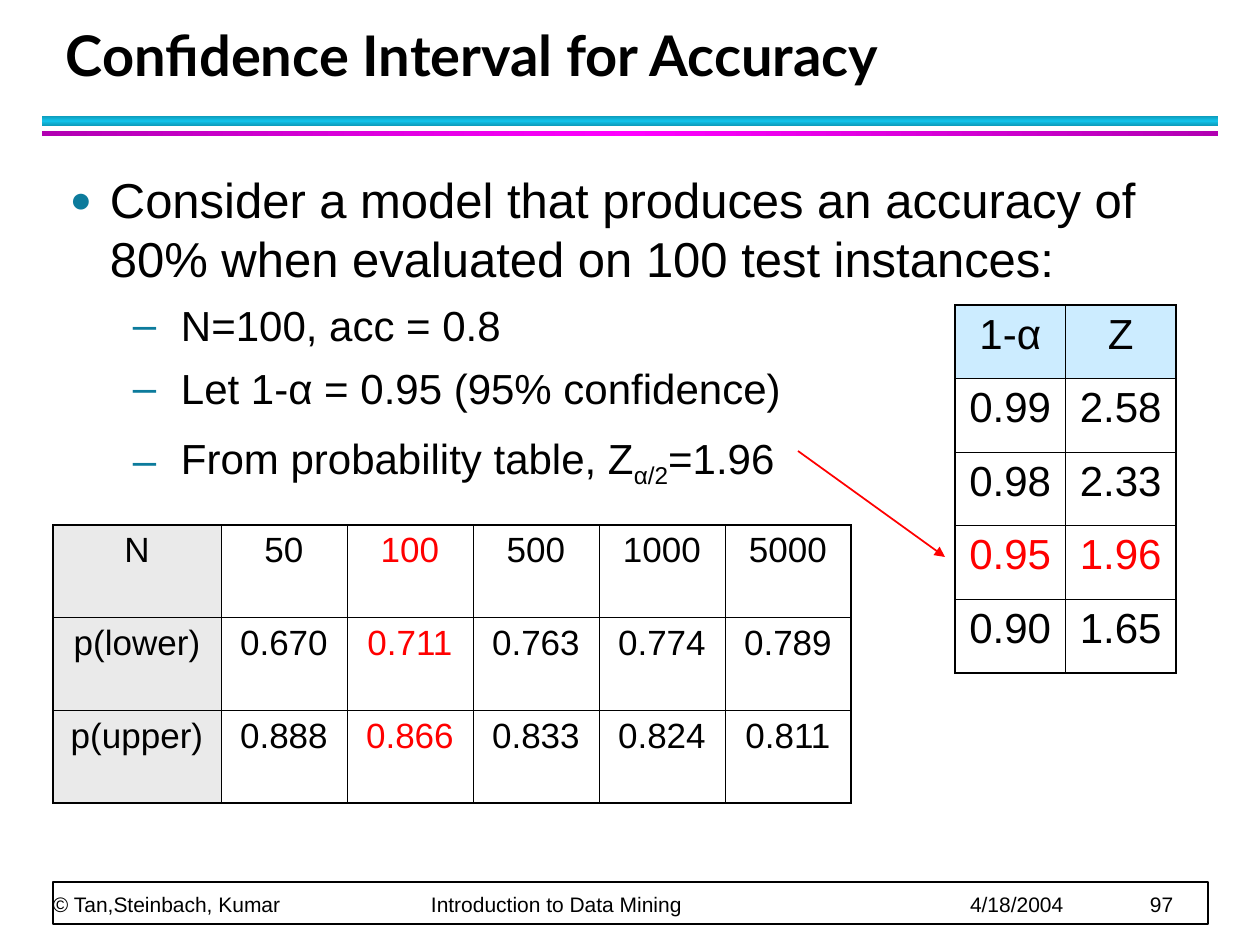
import lxml.etree
import pptx
import pptx.dml.color
import pptx.enum.shapes
import pptx.enum.text
import pptx.oxml
import pptx.oxml.ns
import pptx.util

SCALE = 914400 / 126
BLACK, RED, TEAL = "000000", "FF0000", "0C7B9C"
LEFT = pptx.enum.text.PP_ALIGN.LEFT
CENTER = pptx.enum.text.PP_ALIGN.CENTER
RECT = pptx.enum.shapes.MSO_SHAPE.RECTANGLE
STRAIGHT = pptx.enum.shapes.MSO_CONNECTOR.STRAIGHT
BOTTOM = pptx.enum.text.MSO_ANCHOR.BOTTOM
qn = pptx.oxml.ns.qn


def px(n):
    return round(n * SCALE)


def rgb(value):
    return pptx.dml.color.RGBColor.from_string(value)


def sub(parent, tag, **attrs):
    return lxml.etree.SubElement(parent, qn(tag), attrs)


def style(font, size, color=BLACK, name="Arial", bold=False):
    font.size = pptx.util.Pt(size)
    font.name = name
    font.bold = bold
    font.color.rgb = rgb(color)


def set_frame(tf, margin_x=0, margin_y=0):
    tf.word_wrap = True
    tf.margin_left = tf.margin_right = px(margin_x)
    tf.margin_top = tf.margin_bottom = px(margin_y)


def add_bar(s, x, y, w, h, edge, middle, angle):
    sp = s.shapes.add_shape(RECT, px(x), px(y), px(w), px(h))
    sp.shadow.inherit = False
    sp.line.fill.background()
    sp.fill.gradient()
    sp.fill.gradient_angle = angle
    stops = sp._element.spPr.find(qn("a:gradFill")).find(qn("a:gsLst"))
    stops.clear()
    for pos, color in ((0, edge), (50000, middle), (100000, edge)):
        sub(sub(stops, "a:gs", pos=str(pos)), "a:srgbClr", val=color)


def add_header(s, x, y, w, h):
    add_bar(s, x, y + 116, w, 10, "0E9BBA", "12C2E9", 90)
    add_bar(s, x, y + 131, w, 5, "B200B2", "FF00FF", 0)
    sp = s.shapes.title
    sp.left, sp.top, sp.width, sp.height = px(x + 11), px(y + 21), px(w - 34), px(h)
    tf = sp.text_frame
    set_frame(tf, 13, 6)
    tf.auto_size = pptx.enum.text.MSO_AUTO_SIZE.NONE
    tf.vertical_anchor = BOTTOM
    tf.text = "Confidence Interval for Accuracy"
    p = tf.paragraphs[0]
    p.alignment = LEFT
    p.line_spacing = pptx.util.Pt(36)
    style(p.runs[0].font, 32, name="Lato", bold=True)


def add_bullet(p, char, margin, hang, percent):
    pPr = p._p.get_or_add_pPr()
    pPr.set("marL", str(px(margin)))
    pPr.set("indent", str(-px(hang)))
    sub(sub(pPr, "a:buClr"), "a:srgbClr", val=TEAL)
    sub(pPr, "a:buSzPct", val=str(percent * 1000))
    sub(pPr, "a:buFont", typeface="Arial")
    sub(pPr, "a:buChar", char=char)


def add_body(s, x, y, w, h):
    tf = s.shapes.add_textbox(px(x), px(y), px(w), px(h)).text_frame
    set_frame(tf, 13, 6)
    items = [
        (0, 0, ["Consider a model that produces an accuracy of 80% "
                "when evaluated on 100 test instances:"]),
        (1, 3, ["N=100, acc = 0.8"]),
        (1, 3, ["Let 1-α = 0.95 (95% confidence)"]),
        (1, 7, ["From probability table, Z", "α/2", "=1.96"]),
    ]
    for i, (level, before, parts) in enumerate(items):
        p = tf.add_paragraph() if i else tf.paragraphs[0]
        p.level = level
        p.space_before = pptx.util.Pt(before)
        p.space_after = pptx.util.Pt(4)
        if level:
            add_bullet(p, "–", 111, 48, 100)
        else:
            add_bullet(p, "●", 40, 40, 75)
        for j, part in enumerate(parts):
            r = p.add_run()
            r.text = part
            style(r.font, 24 if level else 28)
            if j == 1:
                r._r.get_or_add_rPr().set("baseline", "-25000")


def set_borders(cell, widths):
    tcPr = cell._tc.get_or_add_tcPr()
    for side, width in zip("LRTB", widths):
        ln = sub(tcPr, "a:ln" + side, w=str(round(width * 12700)))
        sub(sub(ln, "a:solidFill"), "a:srgbClr", val=BLACK)


def add_grid(s, box, rows, size, fill, is_header, is_red, first_width=None):
    x, y, w, h = map(px, box)
    n_rows, n_cols = len(rows), len(rows[0])
    table = s.shapes.add_table(n_rows, n_cols, x, y, w, h).table
    table.first_row = table.horz_banding = False
    if first_width:
        table.columns[0].width = px(first_width)
        for j in range(1, n_cols):
            table.columns[j].width = (w - px(first_width)) // (n_cols - 1)
    for i, row in enumerate(rows):
        for j, text in enumerate(row):
            cell = table.cell(i, j)
            outer = (j == 0, j == n_cols - 1, i == 0, i == n_rows - 1)
            set_borders(cell, [1.08 if edge else 0.45 for edge in outer])
            if is_header(i, j):
                cell.fill.solid()
                cell.fill.fore_color.rgb = rgb(fill)
            else:
                cell.fill.background()
            cell.text_frame.text = text
            p = cell.text_frame.paragraphs[0]
            p.alignment = CENTER
            style(p.runs[0].font, size, RED if is_red(i, j) else BLACK)


def add_arrow(s, x1, y1, x2, y2):
    line = s.shapes.add_connector(STRAIGHT, px(x1), px(y1), px(x2), px(y2))
    line.line.color.rgb = rgb(RED)
    line.line.width = pptx.util.Pt(1)
    sub(line.line._get_or_add_ln(), "a:tailEnd", type="triangle")
    sub(line._element.spPr, "a:effectLst")


def add_footer(s, x, y, w, h):
    sp = s.shapes.add_shape(RECT, px(x), px(y), px(w), px(h))
    sp.shadow.inherit = False
    sp.fill.solid()
    sp.fill.fore_color.rgb = rgb("FFFFFF")
    sp.line.color.rgb = rgb(BLACK)
    sp.line.width = pptx.util.Pt(1)
    tf = s.shapes.add_textbox(px(x), px(y - 35), px(w - 2), px(70)).text_frame
    set_frame(tf)
    tf.vertical_anchor = BOTTOM
    tf.text = "© Tan,Steinbach, Kumar\tIntroduction to Data Mining\t4/18/2004\t97"
    p = tf.paragraphs[0]
    p.line_spacing = pptx.util.Pt(20)
    tabs = sub(p._p.get_or_add_pPr(), "a:tabLst")
    for pos in (378, 917, 1097):
        sub(tabs, "a:tab", pos=str(px(pos)), algn="l")
    for r in p.runs:
        style(r.font, 12)


def main():
    prs = pptx.Presentation()
    prs.slide_width, prs.slide_height = px(1260), px(945)
    s = prs.slides.add_slide(prs.slide_layouts[5])
    add_header(s, 42, 0, 1176, 73)
    add_footer(s, 53, 882, 1155, 42)
    add_body(s, 57, 164, 1147, 708)
    z_rows = [("1-α", "Z"), ("0.99", "2.58"), ("0.98", "2.33"),
              ("0.95", "1.96"), ("0.90", "1.65")]
    add_grid(s, (955, 305, 221, 368), z_rows, 24, "CCECFF",
             lambda i, j: i == 0, lambda i, j: i == 3)
    add_arrow(s, 798, 451, 945, 557)
    bound_rows = [("N", "50", "100", "500", "1000", "5000"),
                  ("p(lower)", "0.670", "0.711", "0.763", "0.774", "0.789"),
                  ("p(upper)", "0.888", "0.866", "0.833", "0.824", "0.811")]
    add_grid(s, (53, 525, 798, 278), bound_rows, 20, "EAEAEA",
             lambda i, j: j == 0, lambda i, j: j == 2, first_width=168)
    prs.save("out.pptx")


if __name__ == "__main__":
    main()
